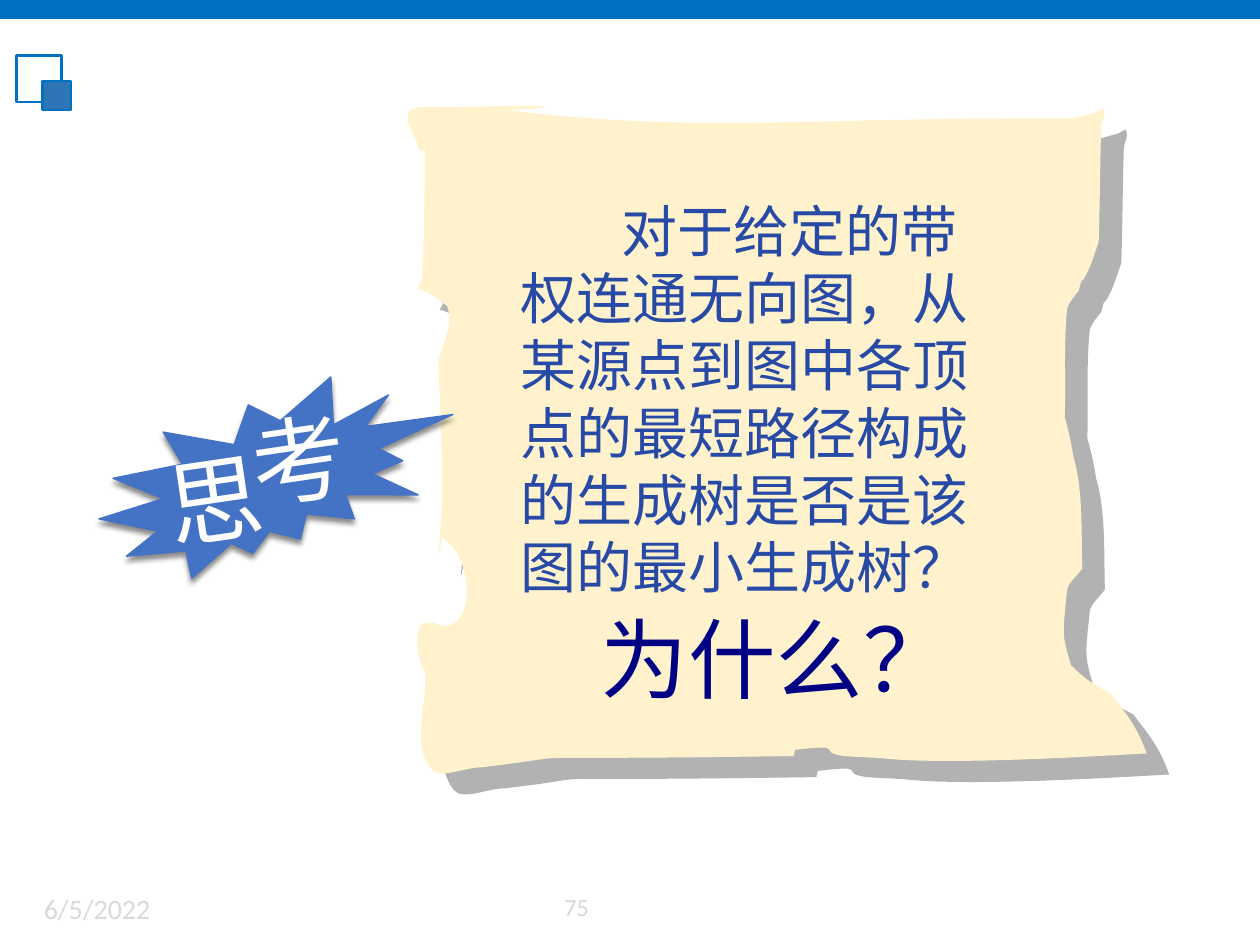
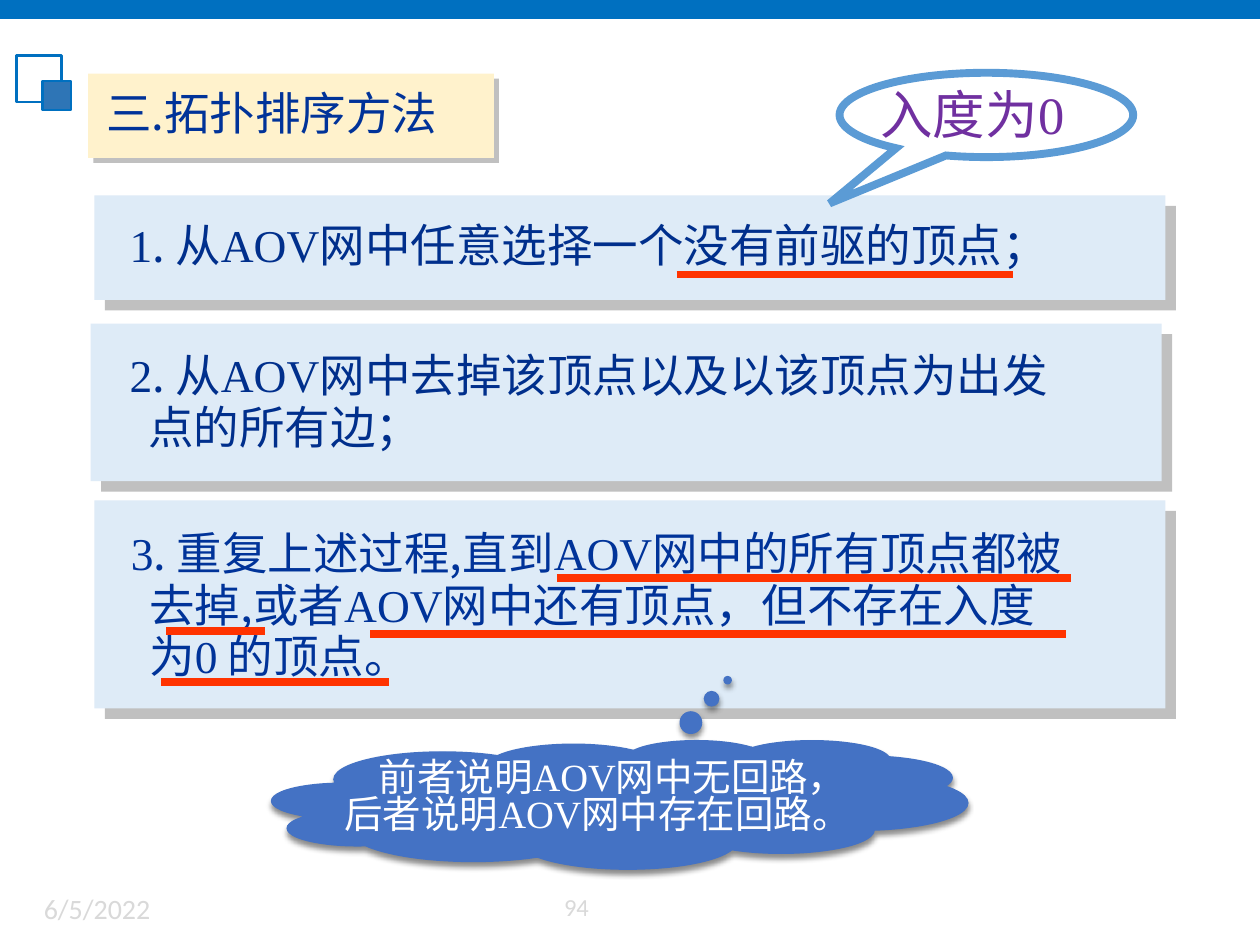
from itertools import groupby

from lxml.etree import SubElement
from pptx import Presentation
from pptx.dml.color import RGBColor
from pptx.enum.shapes import MSO_CONNECTOR, MSO_SHAPE as Shape
from pptx.enum.text import MSO_ANCHOR, MSO_AUTO_SIZE, PP_ALIGN
from pptx.oxml.ns import qn
from pptx.util import Pt

LATIN, CHINESE, FOOTER_FONT = "Times New Roman", "Noto Sans CJK SC", "Calibri"

WHITE = RGBColor(0xFF, 0xFF, 0xFF)
BLACK = RGBColor(0x00, 0x00, 0x00)
BAND_BLUE = RGBColor(0x00, 0x70, 0xC0)
SQUARE_BLUE = RGBColor(0x2E, 0x75, 0xB6)
ACCENT_BLUE = RGBColor(0x44, 0x72, 0xC4)
CALLOUT_BLUE = RGBColor(0x5B, 0x9B, 0xD5)
PANEL_BLUE = RGBColor(0xDE, 0xEB, 0xF7)
CREAM = RGBColor(0xFF, 0xF2, 0xCC)
QUESTION_BLUE = RGBColor(0x26, 0x4A, 0xA5)
TEXT_BLUE = RGBColor(0x00, 0x33, 0x99)
DARK_BLUE = RGBColor(0x00, 0x2F, 0x8C)
NAVY = RGBColor(0x00, 0x00, 0x84)
PURPLE = RGBColor(0x70, 0x30, 0xA0)
RED = RGBColor(0xFF, 0x33, 0x00)
FOOTER_GREY = RGBColor(0xD9, 0xD9, 0xD9)
PAPER_SHADOW = RGBColor(0xB2, 0xB2, 0xB2)
PANEL_SHADOW = RGBColor(0xC0, 0xC0, 0xC0)

DATE = "6/5/2022"
THINK_NUMBER, SORT_NUMBER = "75", "94"

# Lines of text are (indent, text)
QUESTION = [
    (57.6, "对于给定的带"),
    (0, "权连通无向图，从"),
    (0, "某源点到图中各顶"),
    (0, "点的最短路径构成"),
    (0, "的生成树是否是该"),
    (0, "图的最小生成树？"),
]
WHY = [(0, "为什么？")]
THINK = [("思", (87.8, 239, 203.8, 72.7)), ("考", (136.8, 223.9, 95.8, 72.7))]
TILT = -8.4

TITLE = [(3, "三.拓扑排序方法")]
IN_DEGREE = [(0, "入度为0")]
CONCLUSION = [(19.6, "前者说明AOV网中无回路，"), (0, "后者说明AOV网中存在回路。")]
STEPS = [
    dict(panel=(54, 111.6, 612, 59.8), box=(54, 115.9, 617.8, 43.2),
         spacing=1.15, color=DARK_BLUE,
         lines=[(13, "1. 从AOV网中任意选择一个没有前驱的顶点；")]),
    dict(panel=(51.8, 185, 612, 90), box=(54, 196.5, 617.8, 67),
         spacing=0.95, color=DARK_BLUE,
         lines=[(13, "2. 从AOV网中去掉该顶点以及以该顶点为出发"),
                (23.5, "点的所有边；")]),
    dict(panel=(54, 286, 612, 118.8), box=(54.7, 298, 658.8, 96.5),
         spacing=0.95, color=TEXT_BLUE,
         lines=[(13, "3. 重复上述过程,直到AOV网中的所有顶点都被"),
                (23.5, "去掉,或者AOV网中还有顶点，但不存在入度"),
                (23.5, "为0 的顶点。")]),
]
# Underlines are (left, right, height on the slide, line width)
UNDERLINES = [
    (386.6, 578.9, 157, 4),
    (318.2, 612, 330.5, 4.5),
    (95, 151.2, 360.7, 4.5),
    (211.7, 609.1, 362.2, 4.5),
    (92.2, 222.5, 389.5, 4.5),
]

# Torn paper outline in hundredths of an inch: start, then cubic curves
PAPER_UNIT = Pt(0.72)
PAPER_START = (337, 111)
PAPER_CURVES = [
    (337, 147, 337, 183, 335, 219), (335, 223, 331, 229, 331, 229),
    (342, 232, 346, 236, 355, 243), (360, 258, 352, 271, 348, 286),
    (349, 319, 351, 352, 351, 385), (351, 430, 344, 459, 351, 427),
    (378, 441, 378, 511, 344, 494), (340, 495, 334, 494, 333, 497),
    (329, 514, 332, 521, 337, 533), (340, 559, 325, 588, 342, 610),
    (349, 619, 368, 609, 382, 609), (483, 597, 362, 604, 630, 600),
    (631, 598, 630, 595, 632, 595), (674, 590, 646, 597, 670, 600),
    (681, 601, 692, 601, 703, 602), (758, 608, 904, 598, 910, 598),
    (904, 581, 897, 570, 885, 555), (884, 554, 883, 551, 881, 550),
    (867, 543, 860, 538, 850, 528), (843, 504, 843, 506, 847, 468),
    (848, 462, 856, 456, 859, 451), (858, 427, 860, 389, 852, 363),
    (850, 350, 848, 342, 845, 331), (846, 302, 844, 273, 847, 245),
    (848, 240, 856, 231, 856, 231), (861, 213, 855, 232, 863, 216),
    (867, 208, 869, 200, 872, 192), (873, 161, 873, 131, 874, 101),
    (874, 96, 878, 92, 876, 87), (876, 85, 872, 88, 870, 89),
    (852, 94, 865, 91, 850, 94), (631, 93, 554, 106, 399, 87),
    (411, 87, 422, 87, 433, 85), (435, 85, 428, 84, 426, 84),
    (395, 84, 364, 85, 333, 85), (331, 86, 328, 86, 326, 87),
    (319, 93, 328, 107, 331, 113), (332, 115, 332, 120, 335, 120),
    (339, 119, 337, 114, 337, 111),
]


def points(values):
    return [Pt(value) for value in values]


def add_shadow(shape, color, distance, direction, blur=0, opacity=100):
    properties = shape._element.spPr
    for old in properties.findall(qn("a:effectLst")):
        properties.remove(old)
    effects = SubElement(properties, qn("a:effectLst"))
    outer = SubElement(effects, qn("a:outerShdw"), blurRad=str(Pt(blur)),
                       dist=str(Pt(distance)), dir=str(direction * 60000),
                       algn="ctr", rotWithShape="0")
    tint = SubElement(outer, qn("a:srgbClr"), val=str(color))
    SubElement(tint, qn("a:alpha"), val=str(opacity * 1000))


def paint(shape, fill=None, line=None, width=1):
    shape.shadow.inherit = False
    if fill is None:
        shape.fill.background()
    else:
        shape.fill.solid()
        shape.fill.fore_color.rgb = fill
    if line is None:
        shape.line.fill.background()
    else:
        shape.line.color.rgb = line
        shape.line.width = Pt(width)


def add_shape(slide, kind, place, adjustments=(), **style):
    shape = slide.shapes.add_shape(kind, *points(place))
    for index, value in enumerate(adjustments):
        shape.adjustments[index] = value
    paint(shape, **style)
    return shape


def split_scripts(text):
    """Part the Latin words and digits from the Chinese around them."""
    return ["".join(part) for _, part in
            groupby(text, key=lambda c: c.isascii() and c.isalnum())]


def write(shape, lines, size, color, font=LATIN, spacing=1.0, top=3.6, mixed=False):
    """Fill a shape with (indent, text) lines; mixed text changes font by script."""
    frame = shape.text_frame
    frame.word_wrap = True
    frame.auto_size = MSO_AUTO_SIZE.NONE
    frame.vertical_anchor = MSO_ANCHOR.TOP
    frame.margin_left = frame.margin_right = Pt(7.2)
    frame.margin_top, frame.margin_bottom = Pt(top), Pt(0)
    for index, (indent, text) in enumerate(lines):
        paragraph = frame.paragraphs[0] if index == 0 else frame.add_paragraph()
        properties = paragraph._p.get_or_add_pPr()
        properties.set("marL", str(Pt(indent)))
        properties.set("indent", "0")
        paragraph.alignment = PP_ALIGN.LEFT
        paragraph.space_before = Pt(0)
        if font == LATIN:
            paragraph.line_spacing = Pt(round(1.2 * size * spacing, 1))
        for part in split_scripts(text) if mixed else [text]:
            run = paragraph.add_run()
            run.text = part
            run.font.name = CHINESE if mixed and not part.isascii() else font
            run.font.size = Pt(size)
            run.font.color.rgb = color
            SubElement(run._r.get_or_add_rPr(), qn("a:ea"), typeface=CHINESE)


def add_text(slide, place, lines, rotation=0, **style):
    box = slide.shapes.add_textbox(*points(place))
    box.rotation = rotation
    write(box, lines, **style)


def add_underline(slide, left, right, height, width):
    line = slide.shapes.add_connector(
        MSO_CONNECTOR.STRAIGHT, *points((left, height, right, height)))
    line.line.color.rgb = RED
    line.line.width = Pt(width)
    SubElement(line._element.spPr, qn("a:effectLst"))


def add_paper(slide):
    """Lay the outline as straight segments, then join each three into a curve."""
    corners = [curve[i:i + 2] for curve in PAPER_CURVES for i in (0, 2, 4)]
    builder = slide.shapes.build_freeform(*PAPER_START, scale=PAPER_UNIT)
    builder.add_line_segments(corners, close=True)
    paper = builder.convert_to_shape()
    segments = list(paper._element.iter(qn("a:lnTo")))
    outline = segments[0].getparent()
    closing = outline.find(qn("a:close"))
    for first in range(0, len(segments), 3):
        curve = SubElement(outline, qn("a:cubicBezTo"))
        for segment in segments[first:first + 3]:
            curve.append(segment[0])
            outline.remove(segment)
    outline.append(closing)
    paint(paper, fill=CREAM)
    add_shadow(paper, PAPER_SHADOW, 17.7, 43)


def add_accent(slide, kind, place, adjustments=()):
    shape = add_shape(slide, kind, place, adjustments,
                      fill=ACCENT_BLUE, line=ACCENT_BLUE, width=0.79)
    add_shadow(shape, BLACK, 2.4, 90, blur=3, opacity=45)
    return shape


def add_frame(slide, number):
    """Draw the band, the corner squares and the footer."""
    add_shape(slide, Shape.RECTANGLE, (0, 0, 720, 10.8), fill=BAND_BLUE)
    add_shape(slide, Shape.RECTANGLE, (9.4, 31.7, 25.9, 26.6),
              line=BAND_BLUE, width=1.5)
    add_shape(slide, Shape.RECTANGLE, (24.3, 46.4, 16.4, 16.6),
              fill=SQUARE_BLUE, line=BAND_BLUE, width=1.5)
    for text, place, size in ((DATE, (18, 506.2, 132.5, 28.8), 16),
                              (number, (315.2, 506.2, 44.6, 27.4), 14)):
        add_text(slide, place, [(0, text)], size=size,
                 color=FOOTER_GREY, font=FOOTER_FONT)


def build_think_slide(presentation):
    slide = presentation.slides.add_slide(presentation.slide_layouts[6])
    add_frame(slide, THINK_NUMBER)
    add_paper(slide)
    burst = add_accent(slide, Shape.EXPLOSION2, (54, 220.5, 208.8, 102.2))
    burst.rotation = TILT
    add_text(slide, (290.2, 108.7, 342, 239.8), QUESTION,
             size=32, color=QUESTION_BLUE)
    for character, place in THINK:
        add_text(slide, place, [(0, character)], rotation=TILT, size=54, color=WHITE)
    add_text(slide, (336.2, 342, 193, 67), WHY, size=50, color=NAVY)


def build_sort_slide(presentation):
    slide = presentation.slides.add_slide(presentation.slide_layouts[5])
    add_frame(slide, SORT_NUMBER)
    title = slide.shapes.title
    title.left, title.top, title.width, title.height = points((50.4, 42, 231.8, 48.2))
    paint(title, fill=CREAM)
    add_shadow(title, PANEL_SHADOW, 4.2, 45)
    write(title, TITLE, size=26, color=TEXT_BLUE, top=6.6, mixed=True)
    for step in STEPS:
        panel = add_shape(slide, Shape.RECTANGLE, step["panel"], fill=PANEL_BLUE)
        add_shadow(panel, PANEL_SHADOW, 8.5, 45)
        add_text(slide, step["box"], step["lines"], size=26, mixed=True,
                 color=step["color"], spacing=step["spacing"])
    callout = add_shape(slide, Shape.OVAL_CALLOUT, (479.8, 41.6, 167.8, 48.2),
                        (-0.534, 1.049), line=CALLOUT_BLUE, width=4.5)
    SubElement(callout.line._get_or_add_ln(), qn("a:miter"), lim="800000")
    add_text(slide, (496.1, 43.2, 141.1, 43.2), IN_DEGREE,
             size=30, color=PURPLE, mixed=True)
    for underline in UNDERLINES:
        add_underline(slide, *underline)
    add_accent(slide, Shape.CLOUD_CALLOUT, (155.5, 423, 397.4, 73.4), (0.155, -0.968))
    add_text(slide, (189.8, 431.3, 327.6, 49.7), CONCLUSION,
             size=22, color=WHITE, spacing=0.82, mixed=True)


def main():
    presentation = Presentation()
    presentation.slide_width, presentation.slide_height = Pt(720), Pt(540)
    build_think_slide(presentation)
    build_sort_slide(presentation)
    presentation.save("out.pptx")


if __name__ == "__main__":
    main()
